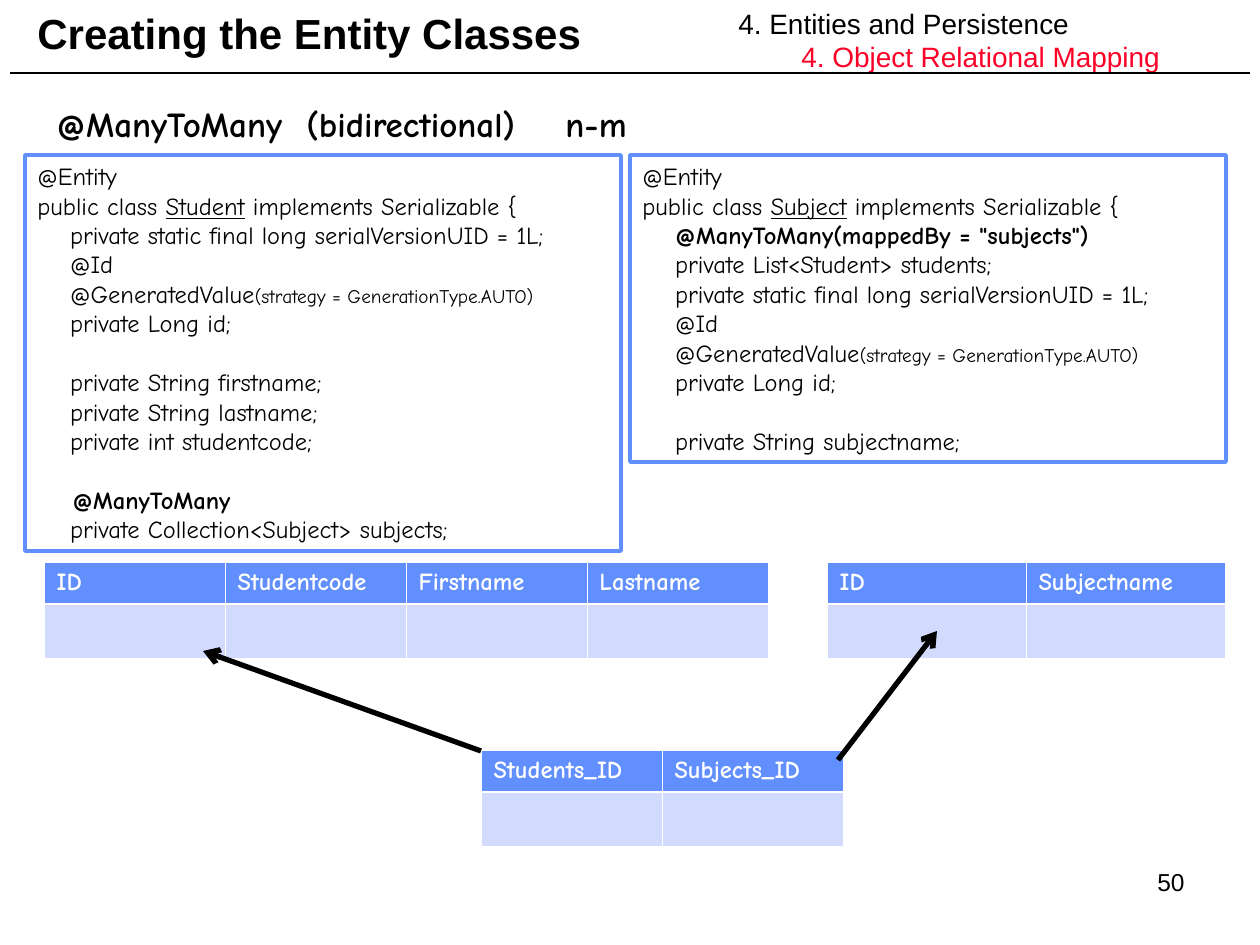
from dataclasses import dataclass

from lxml import etree
from pptx import Presentation
from pptx.dml.color import RGBColor
from pptx.enum.shapes import MSO_CONNECTOR, MSO_SHAPE
from pptx.enum.text import MSO_ANCHOR, PP_ALIGN
from pptx.oxml.ns import qn
from pptx.util import Pt

PX = 914400 / 126  # EMU in one px
RECT, STRAIGHT = MSO_SHAPE.RECTANGLE, MSO_CONNECTOR.STRAIGHT
TOP, MIDDLE = MSO_ANCHOR.TOP, MSO_ANCHOR.MIDDLE
LEFT, RIGHT = PP_ALIGN.LEFT, PP_ALIGN.RIGHT
ARIAL, COMIC = "Arial", "Comic Neue"
COLORS = {"black": "000000", "white": "FFFFFF", "red": "FC0128",
          "blue": "618FFD", "pale": "D2DBFE"}
ROW_HEIGHTS = (42, 54)
HAIRLINE, HEADER_RULE = 0.45, 1.47
CODE_LINE = Pt(16.8)

BOLD, UNDERLINE, SMALL = {"bold": True}, {"underline": True}, {"size": Pt(11)}
CODE = {"name": COMIC, "size": Pt(14)}
CELL = CODE | BOLD
HEADING = {"name": COMIC, "size": Pt(20), "bold": True}
TITLE = {"name": ARIAL, "size": Pt(24), "bold": True}
SECTION = {"name": ARIAL, "size": Pt(16)}
NUMBER = {"name": ARIAL, "size": Pt(14)}


@dataclass
class Para:
    runs: list  # (text, format) pairs
    color: str = "black"
    align: PP_ALIGN = LEFT
    indent: int = 0
    gap: int = 0
    tabs: tuple = ()


@dataclass
class Label:
    box: tuple
    paras: list
    fmt: dict
    anchor: MSO_ANCHOR = TOP


@dataclass
class CodeBox:
    box: tuple
    lines: list


@dataclass
class Grid:
    left: int
    top: int
    col_width: int
    headers: tuple


@dataclass
class Line:
    start: tuple
    end: tuple
    width: int
    arrow: bool = False


def px(*values: int) -> list[int]:
    return [round(v * PX) for v in values]


def rgb(name: str) -> RGBColor:
    return RGBColor.from_string(COLORS[name])


def write(tf, paras: list[Para], fmt: dict, anchor: MSO_ANCHOR = TOP) -> None:
    tf.word_wrap = True
    tf.vertical_anchor = anchor
    for i, para in enumerate(paras):
        p = tf.paragraphs[0] if i == 0 else tf.add_paragraph()
        pPr = p._p.get_or_add_pPr()
        pPr.set("marL", str(px(para.indent)[0]))
        if para.tabs:
            tab_list = etree.SubElement(pPr, qn("a:tabLst"))
            for pos in px(*para.tabs):
                etree.SubElement(tab_list, qn("a:tab"), pos=str(pos), algn="l")
        p.alignment = para.align
        if para.gap:
            p.space_before = para.gap
        for text, extra in para.runs:
            r = p.add_run()
            r.text = text
            for key, value in (fmt | extra).items():
                setattr(r.font, key, value)
            r.font.color.rgb = rgb(para.color)


def draw_label(slide, label: Label) -> None:
    s = slide.shapes.add_textbox(*px(*label.box))
    write(s.text_frame, label.paras, label.fmt, label.anchor)


def draw_code(slide, code: CodeBox) -> None:
    s = slide.shapes.add_shape(RECT, *px(*code.box))
    s.shadow.inherit = False
    s.fill.background()
    s.line.color.rgb = rgb("blue")
    s.line.width = Pt(2)
    write(s.text_frame, code.lines, CODE)


def draw_border(cell, side: str, width: float) -> None:
    tcPr = cell._tc.get_or_add_tcPr()
    ln = etree.SubElement(tcPr, qn(f"a:ln{side}"), w=str(Pt(width)))
    fill = etree.SubElement(ln, qn("a:solidFill"))
    etree.SubElement(fill, qn("a:srgbClr"), val=COLORS["white"])


def draw_grid(slide, grid: Grid) -> None:
    n = len(grid.headers)
    size = (grid.col_width * n, sum(ROW_HEIGHTS))
    table = slide.shapes.add_table(2, n, *px(grid.left, grid.top, *size)).table
    for col in table.columns:
        col.width = px(grid.col_width)[0]
    for row, height in zip(table.rows, px(*ROW_HEIGHTS)):
        row.height = height
    for r, (color, thick) in enumerate((("blue", "B"), ("pale", "T"))):
        for c, header in enumerate(grid.headers):
            cell = table.cell(r, c)
            for side in "LRTB":
                draw_border(cell, side, HEADER_RULE if side == thick else HAIRLINE)
            cell.fill.solid()
            cell.fill.fore_color.rgb = rgb(color)
            if r == 0:
                write(cell.text_frame, [Para([(header, {})], "white")], CELL)


def draw_line(slide, line: Line) -> None:
    s = slide.shapes.add_connector(STRAIGHT, *px(*line.start, *line.end))
    s.line.color.rgb = rgb("black")
    s.line.width = Pt(line.width)
    if line.arrow:
        etree.SubElement(s.line._get_or_add_ln(), qn("a:tailEnd"), type="arrow")
    etree.SubElement(s._element.spPr, qn("a:effectLst"))


def code(text: str, fmt: dict | None = None, gap: int = 0) -> Para:
    return Para([(text, fmt or {})], gap=gap)


def opening(name: str) -> list[Para]:
    return [code("@Entity"),
            Para([("public class ", {}), (name, UNDERLINE),
                  (" implements Serializable {", {})])]


ID_FIELD = [
    code("    private static final long serialVersionUID = 1L;"),
    code("    @Id"),
    Para([("    @GeneratedValue", {}), ("(strategy = GenerationType.AUTO)", SMALL)]),
    code("    private Long id;"),
]

LABELS = [
    Label((25, 0, 741, 66), [Para([("Creating the Entity Classes", {})])], TITLE, MIDDLE),
    Label((726, 0, 534, 81),
          [Para([("4. Entities and Persistence", {})]),
           Para([("4. Object Relational Mapping", {})], "red", indent=63)], SECTION),
    Label((44, 96, 1042, 55),
          [Para([("@ManyToMany\t(bidirectional)\tn-m", {})], tabs=(250, 509))], HEADING),
    Label((903, 861, 294, 66), [Para([("50", {})], align=RIGHT)], NUMBER),
]
CODE_BOXES = [
    CodeBox((25, 155, 596, 396), opening("Student") + ID_FIELD + [
        code("    private String firstname;", gap=CODE_LINE),
        code("    private String lastname;"),
        code("    private int studentcode;"),
        code("    @ManyToMany", BOLD, CODE_LINE),
        code("    private Collection<Subject> subjects;")]),
    CodeBox((630, 155, 596, 307), opening("Subject") + [
        Para([("    ", {}), ('@ManyToMany(mappedBy = "subjects")', BOLD)]),
        code("    private List<Student> students;")] + ID_FIELD + [
        code("    private String subjectname;", gap=CODE_LINE)]),
]
GRIDS = [
    Grid(44, 562, 181, ("ID", "Studentcode", "Firstname", "Lastname")),
    Grid(827, 562, 199, ("ID", "Subjectname")),
    Grid(481, 750, 181, ("Students_ID", "Subjects_ID")),
]
LINES = [
    Line((10, 73), (1250, 73), 1),
    Line((481, 751), (203, 651), 3, True),
    Line((838, 760), (937, 631), 3, True),
]


def main() -> None:
    prs = Presentation()
    prs.slide_width, prs.slide_height = px(1260, 945)
    slide = prs.slides.add_slide(prs.slide_layouts[6])
    # Headings, code, tables, then the arrows on top
    for draw, items in ((draw_label, LABELS), (draw_code, CODE_BOXES),
                        (draw_grid, GRIDS), (draw_line, LINES)):
        for item in items:
            draw(slide, item)
    prs.save("out.pptx")


if __name__ == "__main__":
    main()
